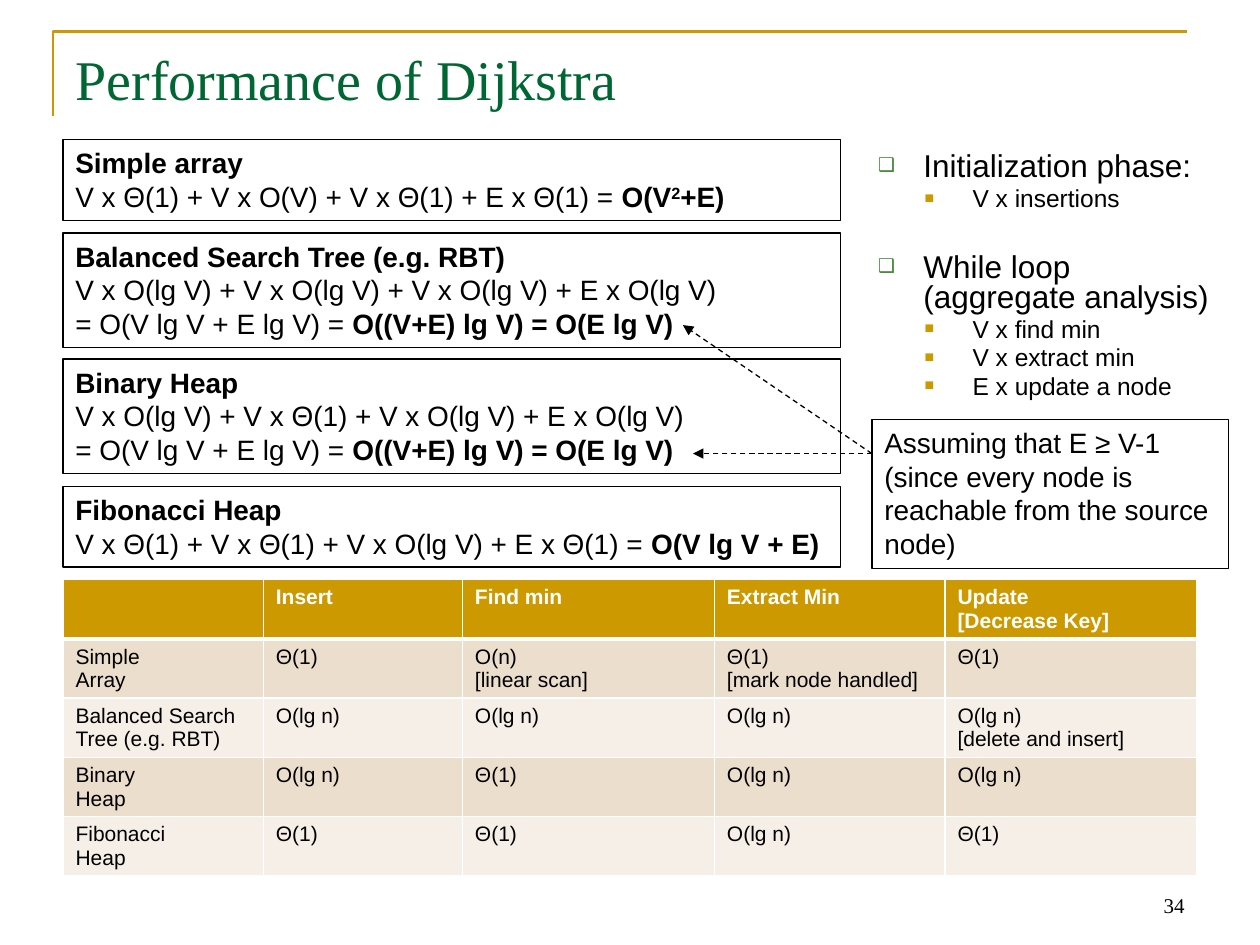
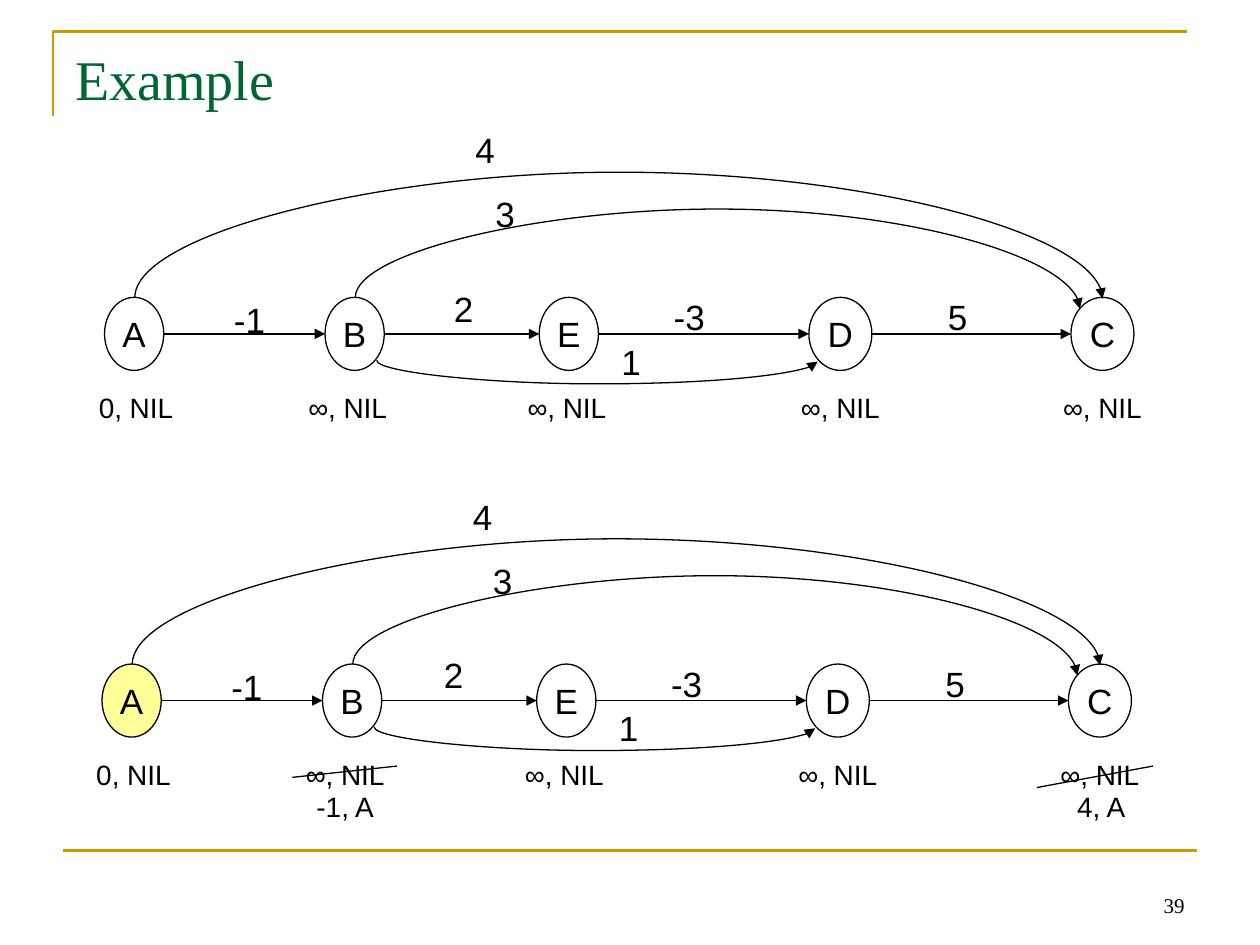
from lxml import etree
from pptx import Presentation
from pptx import util as u
from pptx.dml.color import RGBColor
from pptx.enum import dml, shapes, text
from pptx.oxml.ns import qn

GOLD, GREEN, BLACK, WHITE = "CC9900", "006633", "000000", "FFFFFF"
CENTER = {"align": text.PP_ALIGN.CENTER, "wrap": False}


def color(value):
    return RGBColor.from_string(value)


def write(frame, paragraphs, size, font="Arial", ink=BLACK, align=None, wrap=True):
    """Fill a text frame; a paragraph is a list of (text, bold) runs."""
    frame.word_wrap = wrap
    for index, runs in enumerate(paragraphs):
        paragraph = frame.paragraphs[0] if index == 0 else frame.add_paragraph()
        paragraph.alignment = align or text.PP_ALIGN.LEFT
        for words, bold in runs:
            run = paragraph.add_run()
            run.text = words
            run.font.color.rgb = color(ink)
            for key, value in {"name": font, "size": u.Pt(size), "bold": bold}.items():
                setattr(run.font, key, value)


presentation = Presentation()
presentation.slide_width, presentation.slide_height = u.Inches(10), u.Inches(7.5)
lines = []  # connector, colour, width, dashed, arrow
slides = []

# Shared frame, title and slide number
for title, number in (("Performance of Dijkstra", "34"), ("Example", "39")):
    slide = presentation.slides.add_slide(presentation.slide_layouts[6])
    slides.append(slide)
    builder = slide.shapes.build_freeform(u.Inches(0.42), u.Inches(0.92))
    builder.add_line_segments(
        [(u.Inches(0.42), u.Inches(0.25)), (u.Inches(9.42), u.Inches(0.25))], close=False)
    corner = builder.convert_to_shape()
    corner.shadow.inherit = False
    corner.fill.background()
    corner.line.color.rgb = color(GOLD)
    corner.line.width = u.Pt(1.5)
    rule = slide.shapes.add_connector(
        shapes.MSO_CONNECTOR.STRAIGHT,
        u.Inches(0.5), u.Inches(6.75), u.Inches(9.5), u.Inches(6.75))
    lines.append((rule, GOLD, 1.5, False, False))
    number_box = slide.shapes.add_textbox(
        u.Inches(7.17), u.Inches(6.83), u.Inches(2.33), u.Inches(0.5))
    number_box.text_frame.vertical_anchor = text.MSO_ANCHOR.BOTTOM
    write(number_box.text_frame, [[(number, False)]], 12, "Times New Roman",
          align=text.PP_ALIGN.RIGHT)
    title_box = slide.shapes.add_textbox(
        u.Inches(0.5), u.Inches(0.3), u.Inches(9), u.Inches(1.25))
    write(title_box.text_frame, [[(title, False)]], 32, "Times New Roman", GREEN)

performance, example = slides

# Phases of the algorithm
phases = [
    (1, "Initialization phase:", 3.6),
    (2, "V x insertions", 2.8),
    (1, "While loop\v(aggregate analysis)", 24),
    (2, "V x find min", 2.8),
    (2, "V x extract min", 2.8),
    (2, "E x update a node", 2.8),
]
levels = {  # size, margin, indent, bullet colour, bullet size, bullet
    1: (18, 0.73, -0.36, "3B812F", 60, "❑"),
    2: (14, 1.12, -0.38, GOLD, 65, "■"),
}
phase_box = performance.shapes.add_textbox(
    u.Inches(6.5), u.Inches(1.17), u.Inches(4.25), u.Inches(4.1))
phase_box.text_frame.word_wrap = True
for index, (level, words, before) in enumerate(phases):
    size, margin, indent, bullet_color, bullet_size, bullet = levels[level]
    frame = phase_box.text_frame
    paragraph = frame.paragraphs[0] if index == 0 else frame.add_paragraph()
    paragraph.text = words
    paragraph.line_spacing = 0.8
    paragraph.space_before = u.Pt(before)
    for run in paragraph.runs:
        run.font.color.rgb = color(BLACK)
        for key, value in {"name": "Arial", "size": u.Pt(size)}.items():
            setattr(run.font, key, value)
    properties = paragraph._p.get_or_add_pPr()
    properties.set("marL", str(u.Inches(margin)))
    properties.set("indent", str(u.Inches(indent)))
    bullet_fill = etree.SubElement(properties, qn("a:buClr"))
    etree.SubElement(bullet_fill, qn("a:srgbClr"), val=bullet_color)
    etree.SubElement(properties, qn("a:buSzPct"), val=str(bullet_size * 1000))
    etree.SubElement(properties, qn("a:buFont"), typeface="Arial")
    etree.SubElement(properties, qn("a:buChar"), char=bullet)

# Table of operation costs
costs = [
    ["", "Insert", "Find min", "Extract Min", "Update\n[Decrease Key]"],
    ["Simple\nArray", "Θ(1)", "O(n)\n[linear scan]", "Θ(1)\n[mark node handled]", "Θ(1)"],
    ["Balanced Search Tree (e.g. RBT)", "O(lg n)", "O(lg n)", "O(lg n)",
     "O(lg n)\n[delete and insert]"],
    ["Binary\nHeap", "O(lg n)", "Θ(1)", "O(lg n)", "O(lg n)"],
    ["Fibonacci\nHeap", "Θ(1)", "Θ(1)", "O(lg n)", "Θ(1)"],
]
table = performance.shapes.add_table(
    5, 5, u.Inches(0.5), u.Inches(4.6), u.Inches(9), u.Inches(2.05)).table
for column, width in zip(table.columns, (1.59, 1.58, 2, 1.83, 2)):
    column.width = u.Inches(width)
for row, values in enumerate(costs):
    header = row == 0
    for column, value in enumerate(values):
        cell = table.cell(row, column)
        cell.margin_bottom = u.Inches(0.02)
        if value:
            write(cell.text_frame, [[(part, header)] for part in value.split("\n")], 12,
                  ink=WHITE if header else BLACK)
        properties = cell._tc.get_or_add_tcPr()
        for side in ("lnL", "lnR", "lnT", "lnB"):
            thick = (header and side == "lnB") or (row == 1 and side == "lnT")
            border = etree.SubElement(properties, qn("a:" + side),
                                      w=str(u.Pt(3 if thick else 1)))
            border_fill = etree.SubElement(border, qn("a:solidFill"))
            etree.SubElement(border_fill, qn("a:srgbClr"), val=WHITE)
        cell.fill.solid()
        cell.fill.fore_color.rgb = color(
            GOLD if header else "ECDECC" if row % 2 else "F6EFE7")

# Boxes with the total running times
total = [("= O(V lg V + E lg V) = ", False), ("O((V+E) lg V) = O(E lg V)", True)]
boxes = [
    (0.5, 1.11, 6.17, 0.64, [
        [("Simple array", True)],
        [("V x Θ(1) + V x O(V) + V x Θ(1) + E x Θ(1) = ", False),
         ("O(V", True), ("2", True), ("+E)", True)]]),
    (0.5, 1.85, 6.17, 0.91, [
        [("Balanced Search Tree (e.g. RBT)", True)],
        [("V x O(lg V) + V x O(lg V) + V x O(lg V) + E x O(lg V)", False)],
        total]),
    (0.5, 2.85, 6.17, 0.91, [
        [("Binary Heap", True)],
        [("V x O(lg V) + V x Θ(1) + V x O(lg V) + E x O(lg V)", False)],
        total]),
    (0.5, 3.86, 6.17, 0.64, [
        [("Fibonacci Heap", True)],
        [("V x Θ(1) + V x Θ(1) + V x O(lg V) + E x Θ(1) = ", False),
         ("O(V lg V + E)", True)]]),
    (6.92, 3.33, 2.83, 1.18, [
        [("Assuming that E ≥ V-1", False)],
        [("(since every node is reachable from the source node)", False)]]),
]
for left, top, width, height, paragraphs in boxes:
    box = performance.shapes.add_shape(
        shapes.MSO_SHAPE.RECTANGLE,
        u.Inches(left), u.Inches(top), u.Inches(width), u.Inches(height))
    box.shadow.inherit = False
    box.fill.background()
    box.line.color.rgb = color(BLACK)
    box.line.width = u.Pt(0.75)
    box.text_frame.vertical_anchor = text.MSO_ANCHOR.TOP
    write(box.text_frame, paragraphs, 16)
    for paragraph in box.text_frame.paragraphs:
        for run in paragraph.runs:
            if run.text == "2":
                run._r.get_or_add_rPr().set("baseline", "30000")

# Arrows from the assumption to the two totals
for end_x, end_y in ((5.5, 3.6), (5.42, 2.58)):
    arrow = performance.shapes.add_connector(
        shapes.MSO_CONNECTOR.STRAIGHT,
        u.Inches(6.92), u.Inches(3.6), u.Inches(end_x), u.Inches(end_y))
    lines.append((arrow, BLACK, 0.75, True, True))

# Two states of the example graph
nodes = [  # name, left, width, centre of the distance label
    ("A", 0.83, 0.47, 1.08), ("B", 2.58, 0.47, 2.76), ("E", 4.28, 0.47, 4.5),
    ("D", 6.42, 0.5, 6.67), ("C", 8.5, 0.5, 8.75),
]
arcs = [  # from, site, to, site, start, end, drop, depth (negative is upward)
    ("A", 0, "C", 0, (1.07, 2.36), 8.75, 0.01, -1.01),
    ("B", 5, "D", 3, (2.99, 2.86), 6.49, 0.01, 0.19),
    ("B", 0, "C", 1, (2.82, 2.36), 8.57, 0.09, -0.7),
]
weights = [("-1", 1.98, 2.32), ("4", 3.85, 0.97), ("3", 4.01, 1.48), ("1", 5.01, 2.65),
           ("-3", 5.47, 2.3), ("5", 7.6, 2.3)]
states = [  # shift, fill of A, centre of the weight 2, updated distances
    (0, 0, None, 3.68, []),
    (-0.02, 2.91, "FFFF99", 3.62, [("-1, A", 2.76, 3.31), ("4, A", 8.76, 3.31)]),
]
for shift_x, shift_y, source_fill, two_center, updates in states:
    ellipses = {}
    for name, left, width, _ in nodes:
        ellipse = example.shapes.add_shape(
            shapes.MSO_SHAPE.OVAL, u.Inches(left + shift_x), u.Inches(2.36 + shift_y),
            u.Inches(width), u.Inches(0.58))
        ellipse.shadow.inherit = False
        ellipse.fill.background()
        if name == "A" and source_fill:
            ellipse.fill.solid()
            ellipse.fill.fore_color.rgb = color(source_fill)
        ellipse.line.color.rgb = color(BLACK)
        ellipse.line.width = u.Pt(0.75)
        ellipse.text_frame.vertical_anchor = text.MSO_ANCHOR.MIDDLE
        write(ellipse.text_frame, [[(name, False)]], 20, **CENTER)
        ellipses[name] = ellipse

    # Straight edges between neighbours
    for (_, left, width, _), (_, next_left, _, _) in zip(nodes, nodes[1:]):
        edge = example.shapes.add_connector(
            shapes.MSO_CONNECTOR.STRAIGHT,
            u.Inches(left + width + shift_x), u.Inches(2.65 + shift_y),
            u.Inches(next_left + shift_x), u.Inches(2.65 + shift_y))
        lines.append((edge, BLACK, 0.75, False, True))

    # Curved edges: a quarter turn makes the bend go up or down
    for start, start_site, end, end_site, (x, y), end_x, drop, depth in arcs:
        arc = example.shapes.add_connector(shapes.MSO_CONNECTOR.CURVE, 0, 0, 0, 0)
        arc.begin_connect(ellipses[start], 0)
        arc.end_connect(ellipses[end], 0)
        for tag, site in (("a:stCxn", start_site), ("a:endCxn", end_site)):
            arc._element.find(".//" + qn(tag)).set("idx", str(site))
        span = end_x - x
        places = {"left": x + shift_x + (span - drop) / 2,
                  "top": y + shift_y + (drop - span) / 2, "width": drop, "height": span}
        for key, value in places.items():
            setattr(arc, key, u.Inches(value))
        upward = depth < 0
        turn = arc._element.spPr.find(qn("a:xfrm"))
        turn.set("rot", str((90 if upward else 270) * 60000))
        turn.set("flipH", "0" if upward else "1")
        turn.set("flipV", "1" if upward else "0")
        adjustments = arc._element.find(".//" + qn("a:avLst"))
        etree.SubElement(adjustments, qn("a:gd"), name="adj1",
                         fmla=f"val {round(depth / drop * 100000)}")
        lines.append((arc, BLACK, 0.75, False, True))

    # Edge weights and distances, in boxes wide enough for one line
    labels = [(words, x, y, 20, 0.6, 0.43)
              for words, x, y in weights + [("2", two_center, 2.23)]]
    labels += [("0, NIL" if name == "A" else "∞, NIL", x, 3.05, 16, 0.9, 0.37)
               for name, _, _, x in nodes]
    labels += [(words, x, y, 16, 0.9, 0.37) for words, x, y in updates]
    for words, center, top, size, width, height in labels:
        label = example.shapes.add_textbox(
            u.Inches(center - width / 2 + shift_x), u.Inches(top + shift_y),
            u.Inches(width), u.Inches(height))
        write(label.text_frame, [[(words, False)]], size, **CENTER)

# Strokes through the replaced distances
for x, y, end_x, end_y in ((3.15, 6.08, 2.32, 6.17), (9.15, 6.08, 8.23, 6.25)):
    stroke = example.shapes.add_connector(
        shapes.MSO_CONNECTOR.STRAIGHT,
        u.Inches(x), u.Inches(y), u.Inches(end_x), u.Inches(end_y))
    lines.append((stroke, BLACK, 0.75, False, False))

# Line styles
for connector, ink, width, dashed, arrow in lines:
    connector.line.color.rgb = color(ink)
    connector.line.width = u.Pt(width)
    if dashed:
        connector.line.dash_style = dml.MSO_LINE.DASH
    properties = connector._element.spPr
    if arrow:
        etree.SubElement(properties.find(qn("a:ln")), qn("a:tailEnd"), type="triangle")
    etree.SubElement(properties, qn("a:effectLst"))

presentation.save("out.pptx")
